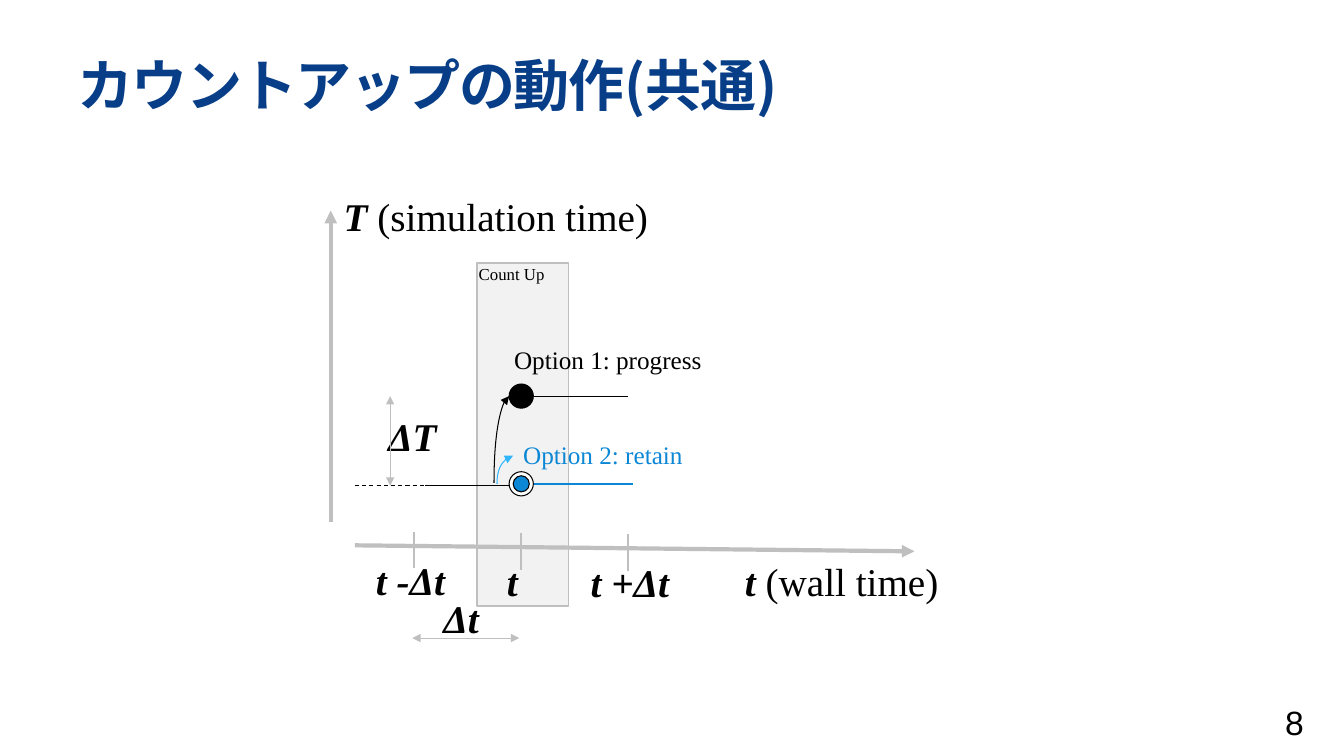
from lxml import etree
from pptx import Presentation
from pptx.dml.color import RGBColor
from pptx.enum.dml import MSO_LINE
from pptx.enum.shapes import MSO_CONNECTOR as LINK, MSO_SHAPE as SHAPE
from pptx.enum.text import MSO_ANCHOR as ANCHOR, PP_ALIGN as ALIGN
from pptx.oxml.ns import qn
from pptx.util import Inches, Pt

# The page is a grid of one-inch columns and rows.
COLUMNS, ROWS = 13.33, 7.5
NOW, STEP = 5.17, 1.06            # wall time t and Δt, in columns
PROGRESS, RETAIN = 3.93, 4.82     # rows of the two simulation times
BLACK, WHITE, GRAY, PALE = "000000", "FFFFFF", "BFBFBF", "F2F2F2"
NAVY, BLUE, SKY = "073E87", "0B87D6", "31B6FD"
SERIF, SANS, JAPANESE = "Times New Roman", "Arial", "Noto Sans CJK JP"


def cells(*lengths):
    return [Inches(length) for length in lengths]


def color(code):
    return RGBColor.from_string(code)


def add_text(page, place, text, font=SERIF, size=28, ink=BLACK, bold=False,
             italic=False, plain="", wrap=False, align=ALIGN.LEFT,
             anchor=ANCHOR.TOP, spacing=0):
    """Add a text box; plain is a second run without bold and italic."""
    box = page.shapes.add_textbox(*cells(*place))
    frame = box.text_frame
    frame.word_wrap = wrap
    frame.vertical_anchor = anchor
    para = frame.paragraphs[0]
    para.alignment = align
    for words, strong, slanted in ((text, bold, italic), (plain, False, False)):
        if not words:
            continue
        span = para.add_run()
        span.text = words
        span.font.name, span.font.size = font, Pt(size)
        span.font.bold, span.font.italic = strong, slanted
        span.font.color.rgb = color(ink)
        props = span.font._element
        if spacing:
            props.set("spc", str(spacing * 100))
        if font == JAPANESE:
            props.set("lang", "ja-JP")
            etree.SubElement(props, qn("a:ea")).set("typeface", font)


def add_symbol(page, place, text, plain=""):
    add_text(page, place, text, bold=True, italic=True, plain=plain)


def add_shape(page, kind, place, fill, line=BLACK, width=0.75):
    shape = page.shapes.add_shape(kind, *cells(*place))
    shape.shadow.inherit = False
    shape.fill.solid()
    shape.fill.fore_color.rgb = color(fill)
    shape.line.color.rgb = color(line)
    shape.line.width = Pt(width)


def add_dot(page, row, size, fill):
    add_shape(page, SHAPE.OVAL,
              (NOW - size / 2, row - size / 2, size, size), fill)


def add_line(page, start, end, ink=BLACK, width=0.75, arrows=(), dashed=False,
             kind=LINK.STRAIGHT):
    """Add a connector; arrows names its ends, headEnd before tailEnd."""
    link = page.shapes.add_connector(kind, *cells(*start, *end))
    link.line.color.rgb = color(ink)
    link.line.width = Pt(width)
    if dashed:
        link.line.dash_style = MSO_LINE.DASH
    stroke = link.line._get_or_add_ln()
    for name in arrows:
        etree.SubElement(stroke, qn(f"a:{name}")).set("type", "triangle")
    etree.SubElement(link._element.spPr, qn("a:effectLst"))
    return link


def add_jump(page, tip, base, ink):
    """Add a quarter curve that rises from base and points right at tip."""
    link = add_line(page, tip, base, ink, arrows=["headEnd"], kind=LINK.CURVE)
    link._element.spPr.find(qn("a:prstGeom")).set("prst", "curvedConnector2")


def add_axes(page):
    add_line(page, (3.52, 5.41), (9.07, 5.47), GRAY, 3, ["tailEnd"])
    add_line(page, (3.28, 5.18), (3.28, 2.09), GRAY, 3, ["tailEnd"])
    add_symbol(page, (7.29, 5.48, 2.34, 0.57), "t ", "(wall time)")
    add_symbol(page, (3.31, 1.86, 3.39, 0.57), "T ", "(simulation time)")
    ticks = (("t -Δt", 3.63, 0.89), ("t", 4.93, 0.31), ("t +Δt", 5.76, 0.99))
    for index, (label, left, width) in enumerate(ticks):
        column, top = NOW + (index - 1) * STEP, 5.28 + index * 0.01
        add_line(page, (column, top + 0.36), (column, top), GRAY, 1.5)
        add_symbol(page, (left, top + 0.19, width, 0.57), label)


def add_options(page):
    add_line(page, (4.22, RETAIN), (5.29, RETAIN))
    add_line(page, (3.52, RETAIN), (4.22, RETAIN), dashed=True)
    add_line(page, (5.21, PROGRESS), (NOW + STEP, PROGRESS))
    add_line(page, (5.21, 4.8), (6.28, 4.8), BLUE, 1.5)
    add_dot(page, PROGRESS, 0.24, BLACK)
    add_dot(page, 4.8, 0.24, WHITE)
    add_dot(page, 4.8, 0.16, BLUE)
    add_text(page, (5.09, 4.31, 1.8, 0.4), "Option 2: retain", size=18, ink=BLUE)
    add_text(page, (5, 3.37, 2.08, 0.4), "Option 1: progress", size=18)
    add_jump(page, (5.09, 4.52), (4.93, 4.8), SKY)
    add_jump(page, (5.05, PROGRESS), (4.9, 4.79), BLACK)


def add_intervals(page):
    both = ["headEnd", "tailEnd"]
    add_symbol(page, (3.75, 4.04, 0.69, 0.57), "ΔT")
    add_line(page, (3.87, PROGRESS), (3.87, RETAIN), GRAY, arrows=both)
    add_line(page, (5.15, 6.33), (5.15 - STEP, 6.33), GRAY, arrows=both)
    add_symbol(page, (4.3, 5.85, 0.56, 0.57), "Δt")


def main():
    deck = Presentation()
    deck.slide_width, deck.slide_height = cells(COLUMNS, ROWS)
    page = deck.slides.add_slide(deck.slide_layouts[6])
    add_text(page, (0.67, 0.42, 12, 0.82), "カウントアップの動作(共通)",
             font=JAPANESE, size=40, ink=NAVY, bold=True, wrap=True,
             anchor=ANCHOR.MIDDLE, spacing=-1)
    add_text(page, (11.47, 6.9, 1.56, 0.52), "8", font=SANS, size=24,
             wrap=True, align=ALIGN.RIGHT, anchor=ANCHOR.MIDDLE)
    add_shape(page, SHAPE.RECTANGLE, (4.73, 2.61, 0.91, 3.4), PALE, GRAY, 1.25)
    add_axes(page)
    add_options(page)
    add_text(page, (4.65, 2.57, 0.86, 0.3), "Count Up", size=12)
    add_intervals(page)
    deck.save("out.pptx")


if __name__ == "__main__":
    main()
